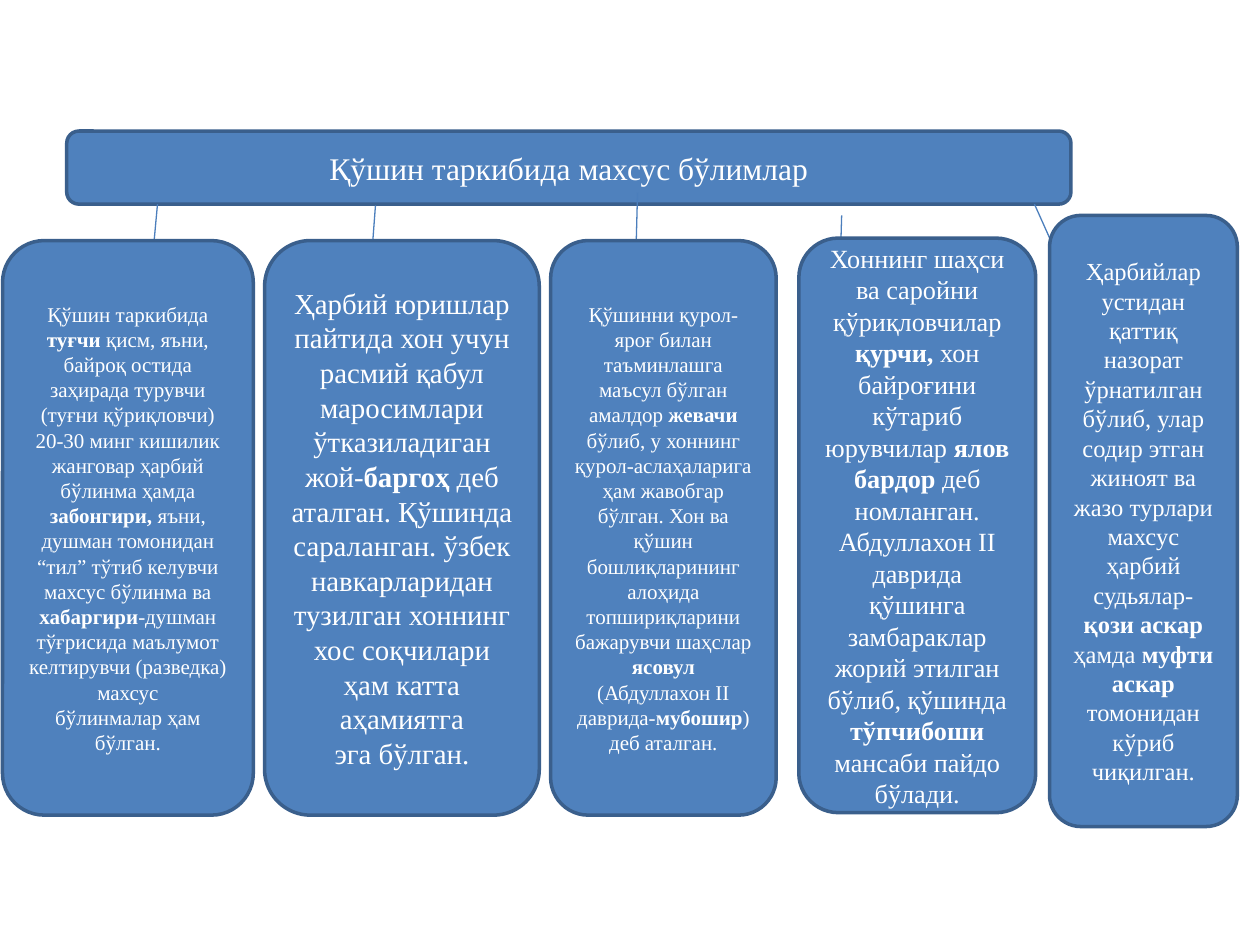
from lxml import etree
from pptx import Presentation
from pptx.dml.color import RGBColor
from pptx.enum.shapes import MSO_CONNECTOR, MSO_SHAPE
from pptx.enum.text import MSO_ANCHOR, PP_ALIGN
from pptx.oxml.ns import qn
from pptx.util import Inches, Pt

ROUNDED = MSO_SHAPE.ROUNDED_RECTANGLE
STRAIGHT = MSO_CONNECTOR.STRAIGHT
MIDDLE = MSO_ANCHOR.MIDDLE
CENTER = PP_ALIGN.CENTER

COLORS = {"fill": "4F81BD", "border": "3A5F8C", "arrow": "4B7EBC", "text": "FFFFFF"}
FONT = "Times New Roman"

HEADING = {
    "box": (0.53, 1.04, 7.97, 0.58),
    "size": 18,
    "text": ["Қўшин таркибида махсус бўлимлар"],
}

# Text between ** marks is bold; arrow holds the start and end points.
UNITS = [
    {
        "box": (0.02, 1.91, 1.99, 4.56),
        "arrow": (1.25, 1.62, 1.18, 2.38),
        "size": 12,
        "text": [
            "Қўшин таркибида **туғчи **қисм, яъни, байроқ остида заҳирада турувчи",
            "(туғни қўриқловчи) 20-30 минг кишилик жанговар ҳарбий бўлинма ҳамда",
            "**забонгири, **яъни, душман томонидан “тил” тўтиб келувчи махсус бўлинма ва",
            "**хабаргири**-душман тўғрисида маълумот келтирувчи (разведка) махсус",
            "бўлинмалар ҳам бўлган.",
        ],
    },
    {
        "box": (2.1, 1.91, 2.18, 4.56),
        "arrow": (2.98, 1.63, 2.91, 2.56),
        "size": 16.5,
        "text": [
            "Ҳарбий юришлар пайтида хон учун расмий қабул",
            "маросимлари ўтказиладиган жой-**баргоҳ **деб аталган. Қўшинда сараланган. "
            "ўзбек навкарларидан тузилган хоннинг хос соқчилари ҳам катта аҳамиятга",
            "эга бўлган.",
        ],
    },
    {
        "box": (4.37, 1.91, 1.79, 4.56),
        "arrow": (5.06, 1.53, 5.04, 2.29),
        "size": 12,
        "text": [
            "Қўшинни қурол-яроғ билан таъминлашга маъсул бўлган амалдор **жевачи**",
            "бўлиб, у хоннинг қурол-аслаҳаларига ҳам жавобгар бўлган. Хон ва қўшин",
            "бошлиқларининг алоҳида топшириқларини бажарувчи шаҳслар **ясовул**",
            "(Абдуллахон II даврида-**мубошир**) деб аталган.",
        ],
    },
    {
        "box": (6.34, 1.89, 1.88, 4.56),
        "arrow": (6.68, 1.71, 6.66, 2.38),
        "size": 15,
        "text": [
            "Хоннинг шаҳси ва саройни",
            "қўриқловчилар **қурчи, **хон байроғини кўтариб юрувчилар **ялов бардор **деб",
            "номланган. Абдуллахон II даврида қўшинга замбараклар жорий этилган",
            "бўлиб, қўшинда **тўпчибоши **мансаби пайдо бўлади.",
        ],
    },
    {
        "box": (8.33, 1.71, 1.49, 4.85),
        "arrow": (8.21, 1.62, 8.55, 2.38),
        "size": 14,
        "text": [
            "Ҳарбийлар устидан",
            "қаттиқ назорат ўрнатилган бўлиб, улар содир этган жиноят ва жазо турлари",
            "махсус ҳарбий судьялар-**қози аскар **ҳамда **муфти аскар **томонидан кўриб",
            "чиқилган.",
        ],
    },
]


def rgb(name):
    return RGBColor.from_string(COLORS[name])


def write_text(frame, paragraphs, size):
    frame.word_wrap = True
    frame.vertical_anchor = MIDDLE
    for index, text in enumerate(paragraphs):
        paragraph = frame.add_paragraph() if index else frame.paragraphs[0]
        paragraph.alignment = CENTER
        for position, part in enumerate(text.split("**")):
            if not part:
                continue
            run = paragraph.add_run()
            run.text = part
            font_format = {"name": FONT, "size": Pt(size), "bold": position % 2 == 1}
            for key, value in font_format.items():
                setattr(run.font, key, value)
            run.font.color.rgb = rgb("text")


def add_box(slide, content):
    box = slide.shapes.add_shape(ROUNDED, *map(Inches, content["box"]))
    box.shadow.inherit = False
    box.fill.solid()
    box.fill.fore_color.rgb = rgb("fill")
    box.line.color.rgb = rgb("border")
    box.line.width = Pt(2)
    write_text(box.text_frame, content["text"], content["size"])


def add_arrow(slide, ends):
    arrow = slide.shapes.add_connector(STRAIGHT, *map(Inches, ends))
    arrow.line.color.rgb = rgb("arrow")
    arrow.line.width = Pt(0.75)
    etree.SubElement(arrow.line._get_or_add_ln(), qn("a:tailEnd"), type="triangle")
    etree.SubElement(arrow._element.spPr, qn("a:effectLst"))


def main():
    deck = Presentation()
    deck.slide_width, deck.slide_height = Inches(10), Inches(7.5)
    slide = deck.slides.add_slide(deck.slide_layouts[6])
    add_box(slide, HEADING)
    for unit in UNITS:
        add_arrow(slide, unit["arrow"])
        add_box(slide, unit)
    deck.save("out.pptx")


if __name__ == "__main__":
    main()
